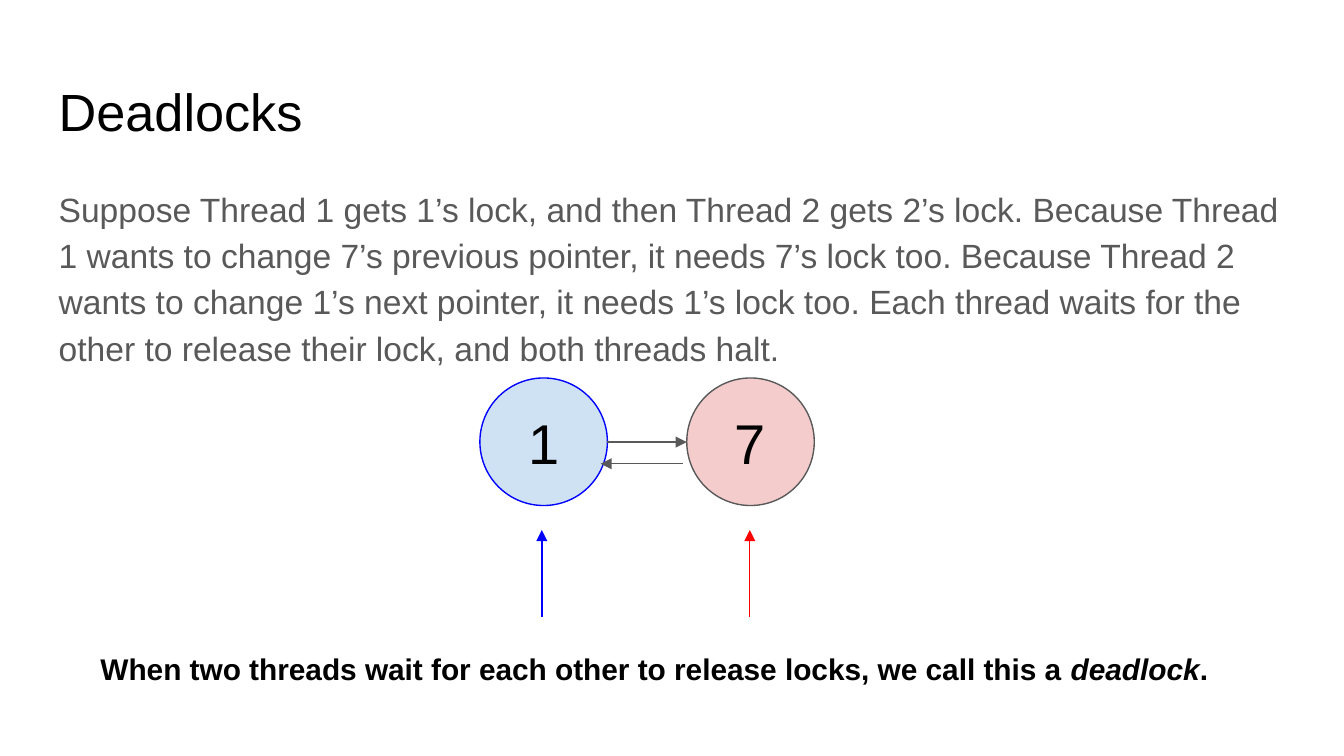
from lxml.etree import SubElement
from pptx import Presentation
from pptx.dml.color import RGBColor
from pptx.enum.shapes import MSO_CONNECTOR as Connector, MSO_SHAPE as Shape
from pptx.enum.text import MSO_ANCHOR as Anchor, PP_ALIGN as Align
from pptx.oxml.ns import qn
from pptx.util import Cm, Pt

COLOURS = {
    "black": "000000",
    "grey": "595959",
    "blue": "0000FF",
    "red": "FF0000",
    "pale_blue": "CFE2F3",
    "pale_red": "F4CCCC",
}
EXPLANATION = (
    "Suppose Thread 1 gets 1’s lock, and then Thread 2 gets 2’s lock. "
    "Because Thread 1 wants to change 7’s previous pointer, it needs 7’s lock too. "
    "Because Thread 2 wants to change 1’s next pointer, it needs 1’s lock too. "
    "Each thread waits for the other to release their lock, and both threads halt."
)
NODE_SIZE = 2.41
NODE_TOP = 7.14
# number, left edge, fill, outline, pointer position, pointer colour
NODES = [
    ("1", 9.07, "pale_blue", "blue", 10.24, "blue"),
    ("7", 12.98, "pale_red", "grey", 14.17, "red"),
]


def colour(name):
    return RGBColor.from_string(COLOURS[name])


class SlideBuilder:
    font = "Arial"
    line_width = Pt(0.75)
    inset = Cm(0.25)

    def __init__(self, deck):
        self.slide = deck.slides.add_slide(deck.slide_layouts[6])

    def fill_text(self, frame, parts, size, ink, **paragraph_format):
        """Fill a frame with one paragraph; parts are (text, font format) pairs."""
        frame.word_wrap = True
        for side in ("left", "top", "right", "bottom"):
            setattr(frame, f"margin_{side}", self.inset)
        para = frame.paragraphs[0]
        for name, value in paragraph_format.items():
            setattr(para, name, value)
        for text, extra in parts:
            span = para.add_run()
            span.text = text
            span.font.color.rgb = colour(ink)
            style = {"name": self.font, "size": Pt(size), **extra}
            for name, value in style.items():
                setattr(span.font, name, value)

    def text(self, bounds, parts, size, ink="black", **paragraph_format):
        box = self.slide.shapes.add_textbox(*map(Cm, bounds))
        self.fill_text(box.text_frame, parts, size, ink, **paragraph_format)

    def node(self, number, left, fill, outline):
        circle = self.slide.shapes.add_shape(
            Shape.OVAL, Cm(left), Cm(NODE_TOP), Cm(NODE_SIZE), Cm(NODE_SIZE)
        )
        circle.shadow.inherit = False
        circle.fill.solid()
        circle.fill.fore_color.rgb = colour(fill)
        circle.line.color.rgb = colour(outline)
        circle.line.width = self.line_width
        circle.text_frame.vertical_anchor = Anchor.MIDDLE
        self.fill_text(circle.text_frame, [(number, {})], 30, "black", alignment=Align.CENTER)

    def arrow(self, start, end, ink):
        arrow = self.slide.shapes.add_connector(
            Connector.STRAIGHT, *map(Cm, (*start, *end))
        )
        arrow.line.color.rgb = colour(ink)
        arrow.line.width = self.line_width
        properties = arrow._element.spPr
        SubElement(properties.find(qn("a:ln")), qn("a:tailEnd"), type="triangle")
        SubElement(properties, qn("a:effectLst"))


def main():
    deck = Presentation()
    deck.slide_width, deck.slide_height = Cm(25.4), Cm(14.28)
    builder = SlideBuilder(deck)

    builder.text((0.86, 1.24, 23.67, 1.6), [("Deadlocks", {})], 28)
    builder.text((0.86, 3.2, 23.67, 3.28), [(EXPLANATION, {})], 18, "grey",
                 line_spacing=1.15, space_after=Pt(16))

    for number, left, fill, outline, pointer, pointer_ink in NODES:
        builder.node(number, left, fill, outline)
        builder.arrow((pointer, 11.66), (pointer, 10.01), pointer_ink)
    builder.arrow((11.48, 8.35), (12.98, 8.35), "grey")
    builder.arrow((12.9, 8.76), (11.35, 8.76), "grey")

    bold = {"bold": True}
    conclusion = [
        ("When two threads wait for each other to release locks, we call this a ", bold),
        ("deadlock", {**bold, "italic": True}),
        (".", bold),
    ]
    builder.text((1.65, 12.04, 21.84, 0.91), conclusion, 16)
    deck.save("out.pptx")


if __name__ == "__main__":
    main()
